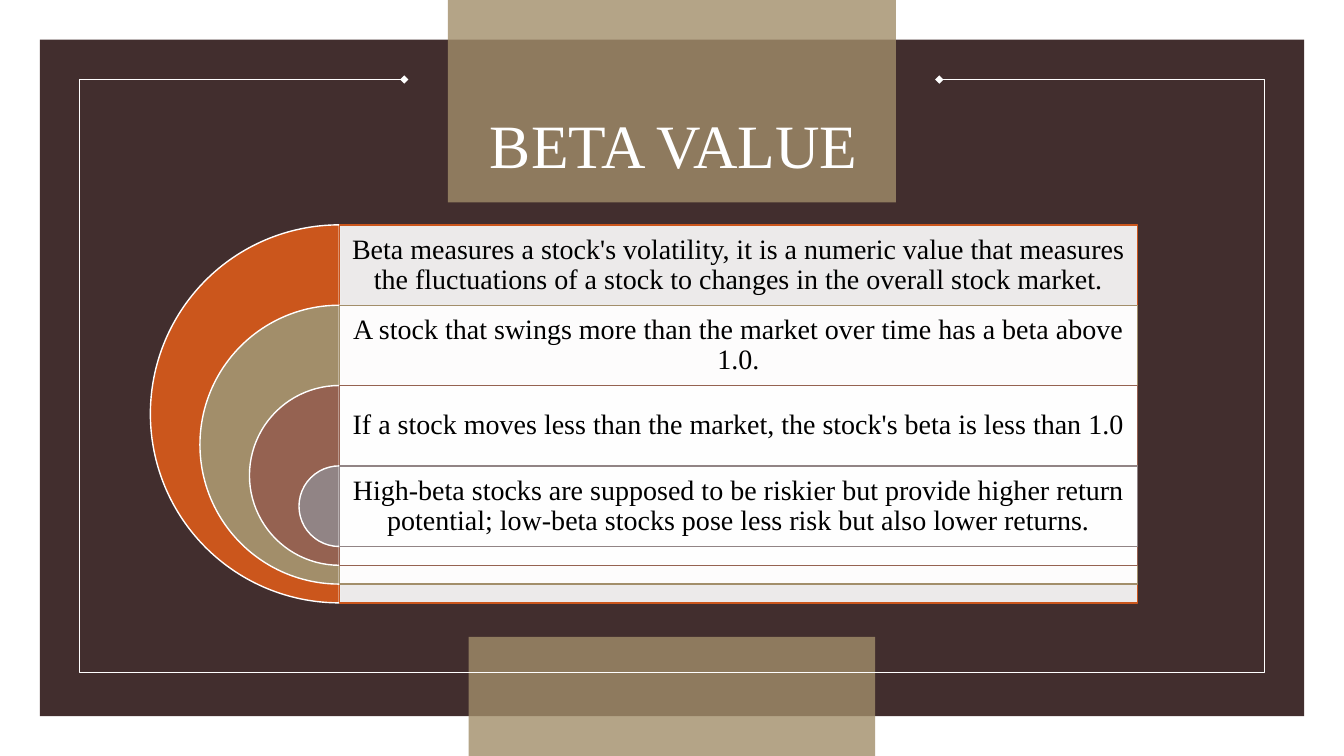
"""Build the beta value slide with nested half rings and text bands."""
from lxml import etree
from pptx import Presentation
from pptx import util as u
from pptx.dml.color import RGBColor
from pptx.enum import shapes, text
from pptx.oxml.ns import qn

Pt = u.Pt
COLOURS = {
    "panel": "422E2E", "tan": "A28E6A", "white": "FFFFFF", "black": "000000",
    "orange": "CB561C", "brown": "956251", "grey": "918485",
}
FONT = "Times New Roman"
TITLE = "BETA VALUE"
POINTS = [
    ("orange", "Beta measures a stock's volatility, it is a numeric value that measures "
               "the fluctuations of a stock to changes in the overall stock market."),
    ("tan", "A stock that swings more than the market over time has a beta above 1.0."),
    ("brown", "If a stock moves less than the market, the stock's beta is less than 1.0"),
    ("grey", "High-beta stocks are supposed to be riskier but provide higher return "
             "potential; low-beta stocks pose less risk but also lower returns."),
]
PANELS = [
    ((28.4, 28.4, 903.2, 483.2), "panel", 100),
    ((320, 0, 320, 144.6), "tan", 80),
    ((334.8, 455, 290.4, 85), "tan", 80),
]
FRAME = [(671, 56.8), (903.4, 56.8), (903.4, 480.2), (56.8, 480.2), (56.8, 56.8), (288.8, 56.8)]
CENTRE_X, RINGS_TOP, BAND_WIDTH = 242.4, 160.6, 570.2
BAND_STEP, OUTER_SIZE, SIZE_STEP = 57.4, 270, 70.8


def colour(name):
    return RGBColor.from_string(COLOURS[name])


def add_block(page, kind, place, fill, opacity=100, line=None):
    block = page.shapes.add_shape(kind, *map(Pt, place))
    block.shadow.inherit = False
    block.fill.solid()
    block.fill.fore_color.rgb = colour(fill)
    if opacity < 100:
        tint = block.fill._xPr.find(qn("a:solidFill"))[0]
        etree.SubElement(tint, qn("a:alpha")).set("val", str(opacity * 1000))
    if line:
        block.line.color.rgb = colour(line)
        block.line.width = Pt(1)
    else:
        block.line.fill.background()
    return block


def add_text(page, place, words, size, ink, anchor, insets):
    box = page.shapes.add_textbox(*map(Pt, place))
    frame = box.text_frame
    frame.word_wrap = True
    frame.vertical_anchor = anchor
    frame.margin_left = frame.margin_right = Pt(insets[0])
    frame.margin_top = frame.margin_bottom = Pt(insets[1])
    frame.text = words
    para = frame.paragraphs[0]
    para.alignment = text.PP_ALIGN.CENTER
    para.line_spacing = 0.9
    span = para.runs[0]
    span.font.name = FONT
    span.font.size = Pt(size)
    span.font.color.rgb = colour(ink)


def add_frame(page):
    corners = [(Pt(x), Pt(y)) for x, y in FRAME]
    builder = page.shapes.build_freeform(*corners[0])
    builder.add_line_segments(corners[1:], close=False)
    border = builder.convert_to_shape()
    border.shadow.inherit = False
    border.fill.background()
    border.line.color.rgb = colour("white")
    border.line.width = Pt(1)
    for end in ("a:headEnd", "a:tailEnd"):
        etree.SubElement(border.line._get_or_add_ln(), qn(end)).set("type", "diamond")


def add_point(page, index, tint, words):
    size = OUTER_SIZE - index * SIZE_STEP
    top = RINGS_TOP + index * BAND_STEP
    ring = add_block(page, shapes.MSO_SHAPE.PIE, (CENTRE_X - size / 2, top, size, size),
                     tint, line="white")
    ring.adjustments[0], ring.adjustments[1] = 54, 162
    add_block(page, shapes.MSO_SHAPE.RECTANGLE, (CENTRE_X, top, BAND_WIDTH, size),
              "white", 90, tint)
    add_text(page, (CENTRE_X, top, BAND_WIDTH, BAND_STEP), words, 20, "black",
             text.MSO_ANCHOR.MIDDLE, (6, 6))


def main():
    deck = Presentation()
    deck.slide_width, deck.slide_height = Pt(960), Pt(540)
    page = deck.slides.add_slide(deck.slide_layouts[6])
    for place, fill, opacity in PANELS:
        add_block(page, shapes.MSO_SHAPE.RECTANGLE, place, fill, opacity)
    add_frame(page)
    add_text(page, (323.4, 28.4, 316, 105), TITLE, 44, "white",
             text.MSO_ANCHOR.BOTTOM, (7.2, 3.6))
    for index, (tint, words) in enumerate(POINTS):
        add_point(page, index, tint, words)
    deck.save("out.pptx")


if __name__ == "__main__":
    main()
